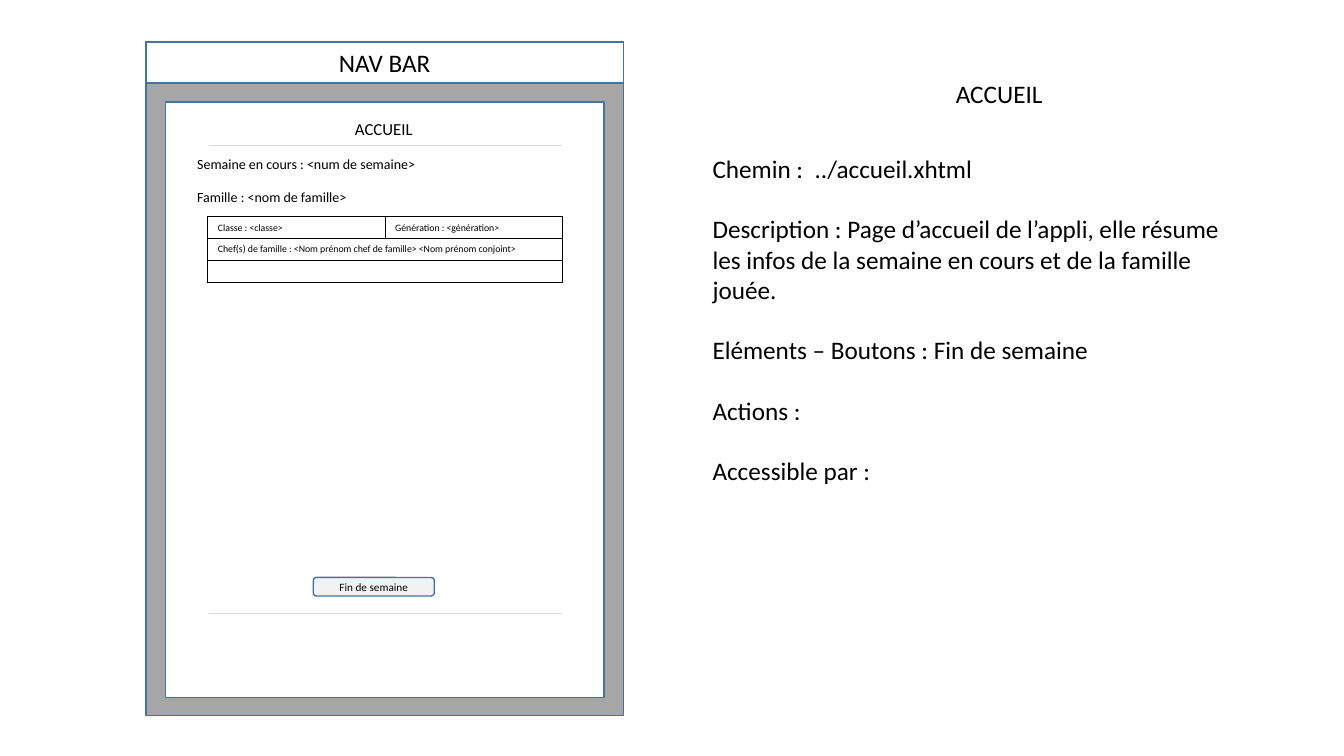
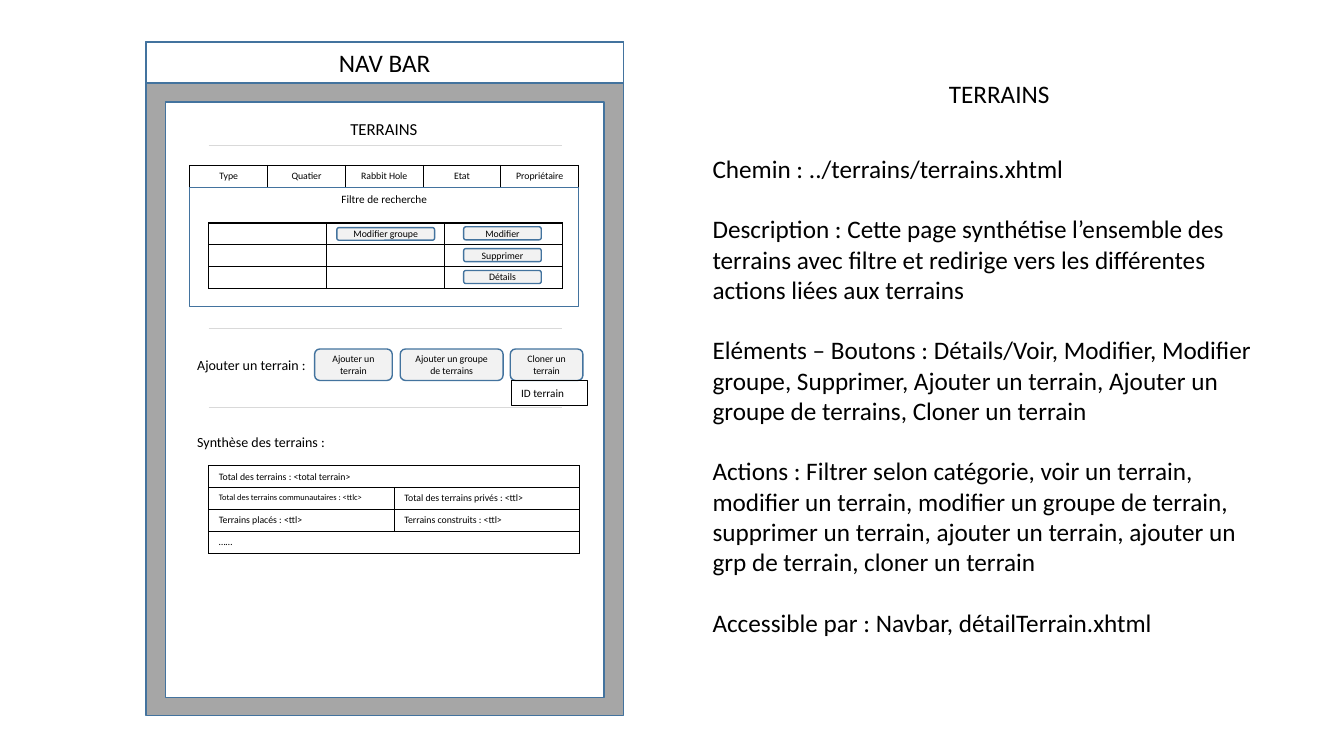
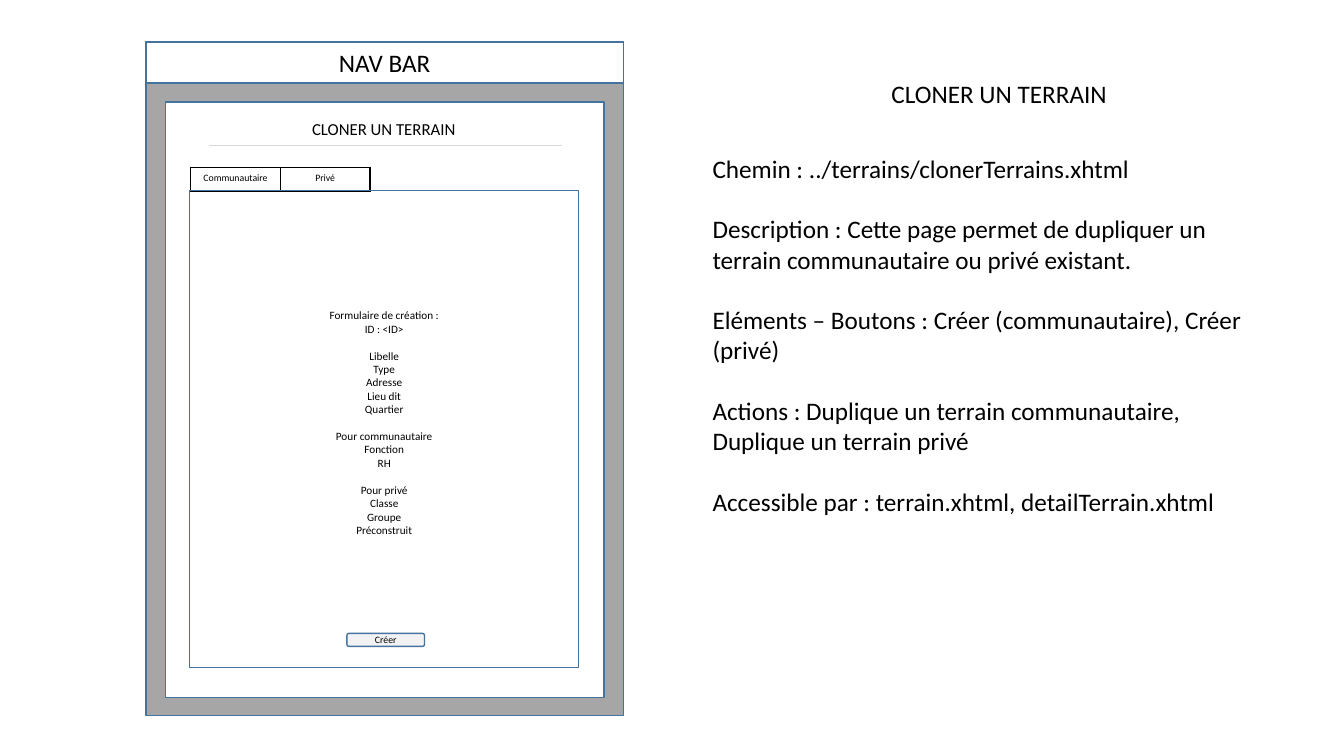
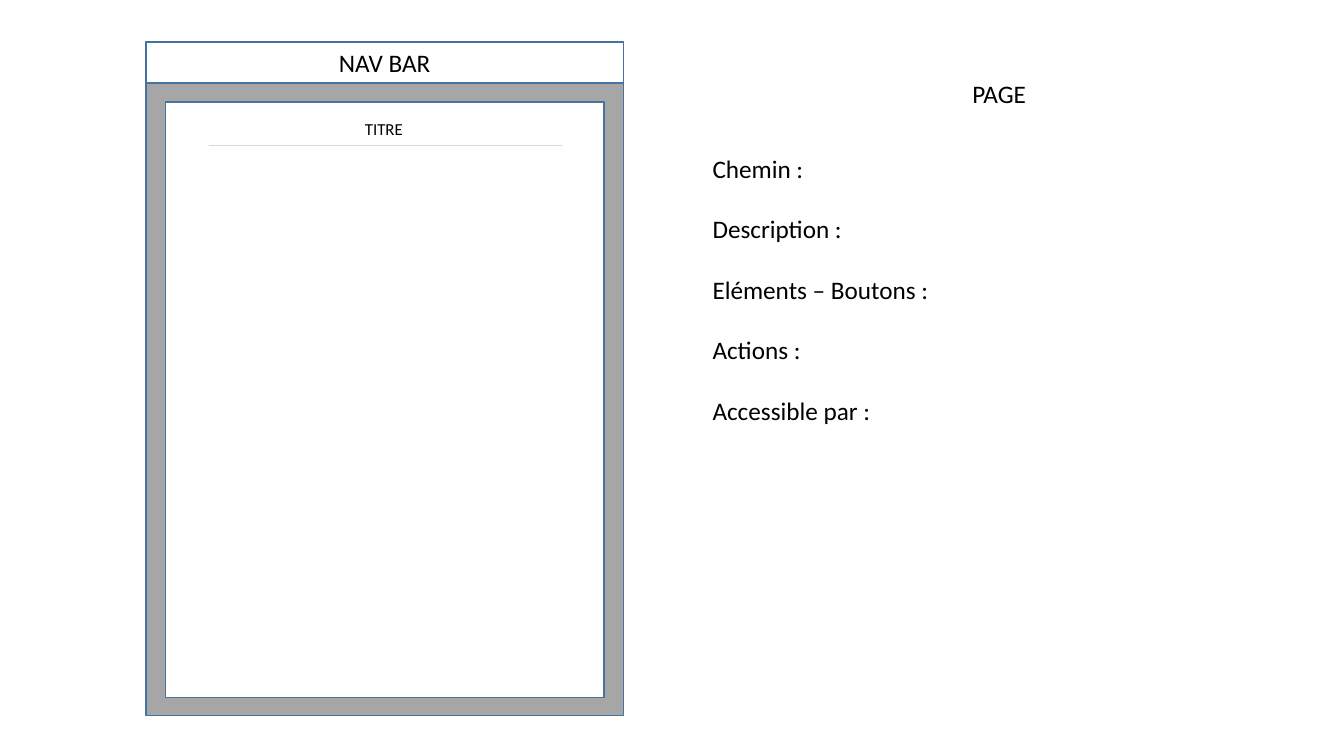
from lxml.etree import SubElement as sub
from pptx import Presentation
from pptx.dml.color import RGBColor as RGB
from pptx.enum.shapes import MSO_CONNECTOR as CONN, MSO_SHAPE as SHAPE
from pptx.enum.text import MSO_ANCHOR as ANCHOR, PP_ALIGN as ALIGN
from pptx.oxml.ns import qn
from pptx.util import Inches, Pt

COLORS = {"frame": "A6A6A6", "edge": "43739E", "paper": "FFFFFF",
          "button": "F2F2F2", "rule": "D9D9D9", "ink": "000000"}
FONT = "Calibri"
COLS, ROWS = 160, 90
LEADING = 1.2
LABELS = ("Chemin", "Description", "Eléments – Boutons", "Actions", "Accessible par")
RULE_LEFT, RULE_RIGHT = 24.85, 66.95
TEXT_LEFT = 22.3
PANEL_LEFT, PANEL_WIDTH = 22.6, 46.3
ROW = 2.6
SMALL_BUTTON = (9.24, 1.56)


def rgb(name):
    return RGB.from_string(COLORS[name])


class Mockup:
    def __init__(self):
        self.prs = Presentation()
        self.prs.slide_width = Inches(13.33)
        self.prs.slide_height = Inches(7.5)
        self.s = None

    def grid(self, x, y, w, h):
        col, row = self.prs.slide_width / COLS, self.prs.slide_height / ROWS
        return round(x * col), round(y * row), round(w * col), round(h * row)

    def add_lines(self, tf, groups, size, align=ALIGN.LEFT):
        p = None
        for i, group in enumerate(groups):
            for line in group.split("\n"):
                p = tf.add_paragraph() if p else tf.paragraphs[0]
                p.alignment = align
                r = p.add_run()
                r.text = line
                r.font.name, r.font.size = FONT, Pt(size)
                r.font.color.rgb = rgb("ink")
            if i < len(groups) - 1:
                p.space_after = Pt(size * LEADING)

    def text(self, at, groups, size, align=ALIGN.LEFT):
        tf = self.s.shapes.add_textbox(*self.grid(*at)).text_frame
        tf.word_wrap = True
        self.add_lines(tf, groups, size, align)

    def box(self, at, groups=(), size=8, fill=None, edge="edge", width=1,
            kind=SHAPE.RECTANGLE, align=ALIGN.CENTER, anchor=ANCHOR.MIDDLE):
        sp = self.s.shapes.add_shape(kind, *self.grid(*at))
        sp.shadow.inherit = False
        if fill:
            sp.fill.solid()
            sp.fill.fore_color.rgb = rgb(fill)
        else:
            sp.fill.background()
        sp.line.color.rgb = rgb(edge)
        sp.line.width = Pt(width)
        sp.text_frame.vertical_anchor = anchor
        self.add_lines(sp.text_frame, groups, size, align)
        return sp

    def button(self, at, label, size=7):
        self.box(at, [label], size, "button", kind=SHAPE.ROUNDED_RECTANGLE)

    def rule(self, y):
        x, top, w, _ = self.grid(RULE_LEFT, y, RULE_RIGHT - RULE_LEFT, 0)
        line = self.s.shapes.add_connector(CONN.STRAIGHT, x, top, x + w, top)
        line.line.color.rgb = rgb("rule")
        line.line.width = Pt(0.5)
        sub(line._element.spPr, qn("a:effectLst"))

    def borders(self, cell):
        tcPr = cell._tc.get_or_add_tcPr()
        for side in "LRTB":
            ln = sub(tcPr, qn(f"a:ln{side}"), w=str(Pt(1)))
            sub(sub(ln, qn("a:solidFill")), qn("a:srgbClr"), val=COLORS["ink"])
        cell.fill.background()

    def table(self, x, y, w, rows, row=ROW, align=ALIGN.LEFT):
        n = len(rows[0])
        at = self.grid(x, y, w, row * len(rows))
        tbl = self.s.shapes.add_table(len(rows), n, *at).table
        tbl.first_row = tbl.horz_banding = False
        for i, values in enumerate(rows):
            for j, value in enumerate(values):
                cell = tbl.cell(i, j)
                self.borders(cell)
                label, size = value if isinstance(value, tuple) else (value, 7)
                if label:
                    self.add_lines(cell.text_frame, [label], size, align)
                else:
                    p = cell.text_frame.paragraphs[0]
                    sub(p._p, qn("a:endParaRPr"), sz=str(size * 100))
            if None in values:
                tbl.cell(i, 0).merge(tbl.cell(i, n - 1))

    def page(self, title, notes, heading=None):
        self.s = self.prs.slides.add_slide(self.prs.slide_layouts[6])
        self.box((17.4, 5, 56.8, 80.2), fill="frame")
        self.box((17.4, 5, 56.8, 4.9), ["NAV BAR"], 18, "paper")
        self.box((19.7, 12.15, 52.2, 70.9), fill="paper")
        self.text((96.1, 8.76, 45.7, 4.8), [title], 18, ALIGN.CENTER)
        groups = [f"{label} : {note}".rstrip() for label, note in zip(LABELS, notes)]
        self.text((83.65, 17.65, 66.5, 59.4), groups, 18)
        self.text((29.15, 13.55, 33.1, 3.6), [heading or title], 12, ALIGN.CENTER)
        self.rule(17.3)


def home(m):
    m.page("ACCUEIL", (
        " ../accueil.xhtml",
        "Page d’accueil de l’appli, elle résume les infos de la semaine en cours "
        "et de la famille jouée.",
        "Fin de semaine", "", ""))
    m.text((TEXT_LEFT, 17.9, 31.7, 7.3),
           ["Semaine en cours : <num de semaine>", "Famille : <nom de famille>"], 10)
    m.table(24.75, 25.8, 42.2, [
        ["Classe : <classe>", "Génération : <génération>"],
        ["Chef(s) de famille : <Nom prénom chef de famille> <Nom prénom conjoint>", None],
        ["", None]])
    m.button((37.3, 68.75, 14.4, 2.2), "Fin de semaine", 8)
    m.rule(73)


def plots(m):
    m.page("TERRAINS", (
        "../terrains/terrains.xhtml",
        "Cette page synthétise l’ensemble des terrains avec filtre et redirige "
        "vers les différentes actions liées aux terrains",
        "Détails/Voir, Modifier, Modifier groupe, Supprimer, Ajouter un terrain, "
        "Ajouter un groupe de terrains, Cloner un terrain",
        "Filtrer selon catégorie, voir un terrain, modifier un terrain, modifier "
        "un groupe de terrain, supprimer un terrain, ajouter un terrain, ajouter "
        "un grp de terrain, cloner un terrain",
        "Navbar, détailTerrain.xhtml"))
    m.table(PANEL_LEFT, 19.7, PANEL_WIDTH,
            [["Type", "Quatier", "Rabbit Hole", "Etat", "Propriétaire"]],
            align=ALIGN.CENTER)
    m.box((PANEL_LEFT, 22.3, PANEL_WIDTH, 14.2), ["Filtre de recherche"],
          anchor=ANCHOR.TOP)
    m.table(RULE_LEFT, 26.55, 42.1, [[""] * 3] * 3)
    for i, label in enumerate(("Modifier", "Supprimer", "Détails")):
        m.button((55.2, 27 + i * ROW, *SMALL_BUTTON), label)
    m.button((40.1, 27.1, 11.64, 1.5), "Modifier groupe")
    m.rule(39.1)
    m.text((TEXT_LEFT, 41.85, 17.4, 3.2), ["Ajouter un terrain :"], 10)
    for x, w, label in ((37.45, 9.25, "Ajouter un terrain"),
                        (47.65, 12.25, "Ajouter un groupe de terrains"),
                        (60.75, 8.65, "Cloner un terrain")):
        m.button((x, 41.55, w, 3.75), label)
    m.box((60.85, 45.35, 9.1, 2.9), ["ID terrain"], edge="ink", width=0.75,
          align=ALIGN.LEFT, anchor=ANCHOR.TOP)
    m.rule(48.5)
    m.text((TEXT_LEFT, 51, 18.8, 3.2), ["Synthèse des terrains :"], 10)
    m.table(RULE_LEFT, 55.45, 44.15, [
        ["Total des terrains : <total terrain>", None],
        [("Total des terrains communautaires : <ttlc>", 6),
         "Total des terrains privés : <ttl>"],
        ["Terrains placés : <ttl>", "Terrains construits : <ttl>"],
        ["……", None]])


def clone(m):
    m.page("CLONER UN TERRAIN", (
        "../terrains/clonerTerrains.xhtml",
        "Cette page permet de dupliquer un terrain communautaire ou privé existant.",
        "Créer (communautaire), Créer (privé)",
        "Duplique un terrain communautaire, Duplique un terrain privé",
        "terrain.xhtml, detailTerrain.xhtml"))
    m.table(22.7, 19.9, 21.35, [["Communautaire", "Privé"]], 2.85, ALIGN.CENTER)
    form = m.box((PANEL_LEFT, 22.7, PANEL_WIDTH, 56.8), [
        "Formulaire de création :\nID : <ID>",
        "Libelle\nType\nAdresse\nLieu dit\nQuartier",
        "Pour communautaire\nFonction\nRH",
        "Pour privé\nClasse\nGroupe\nPréconstruit"])
    form.text_frame.margin_bottom = Inches(0.18)
    m.button((41.3, 75.4, *SMALL_BUTTON), "Créer")


def template(m):
    m.page("PAGE", [""] * len(LABELS), "TITRE")


def main():
    m = Mockup()
    for build in (home, plots, clone, template):
        build(m)
    m.prs.save("out.pptx")


if __name__ == "__main__":
    main()
